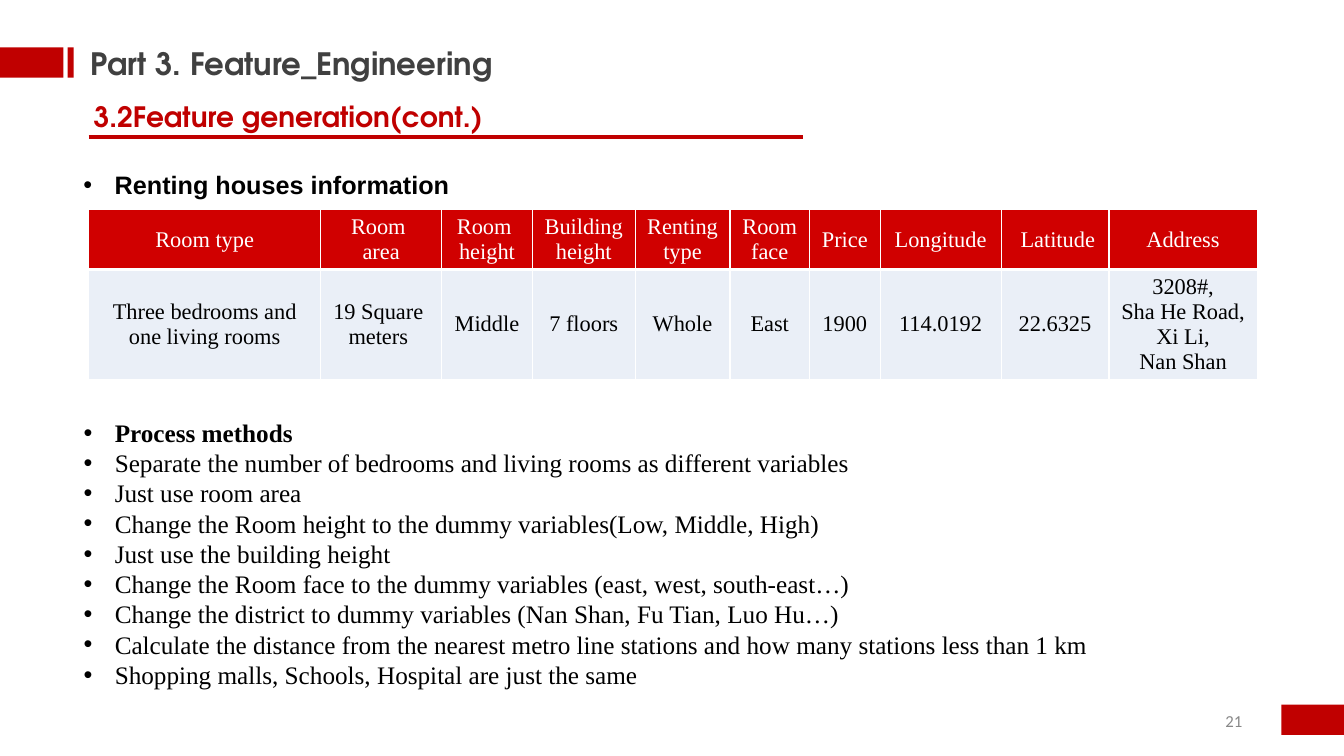
from dataclasses import dataclass

from lxml.etree import SubElement
from pptx import Presentation
from pptx.dml.color import RGBColor
from pptx.enum.shapes import MSO_CONNECTOR, MSO_SHAPE
from pptx.enum.text import MSO_ANCHOR, PP_ALIGN
from pptx.oxml.ns import qn
from pptx.util import Inches, Pt

RED, BLACK, WHITE = "C00000", "000000", "FFFFFF"
SERIF, TITLE = "Times New Roman", "TeX Gyre Adventor"


@dataclass
class Bar:
    left: float
    top: float
    width: float


@dataclass
class Label:
    box: tuple[float, float, float, float]
    lines: list[str]
    size: float
    face: str
    color: str
    bold: int = 0  # number of leading bold lines
    bullet: bool = False
    align: PP_ALIGN = PP_ALIGN.LEFT
    anchor: MSO_ANCHOR = MSO_ANCHOR.TOP


@dataclass
class Column:
    width: float
    head: str
    value: str


BARS = [Bar(0, 0.47, 0.63), Bar(0.67, 0.47, 0.06), Bar(12.71, 6.99, 0.63)]

LABELS = [
    Label((9.42, 6.95, 3, 0.4), ["21"], 12, "Calibri", "888888",
          align=PP_ALIGN.RIGHT, anchor=MSO_ANCHOR.MIDDLE),
    Label((0.8, 0.39, 9.09, 0.47), ["Part 3. Feature_Engineering"],
          22, TITLE, "404040", bold=1),
    Label((0.83, 0.94, 5.46, 0.44), ["3.2Feature generation(cont.)"],
          20, TITLE, RED, bold=1),
    Label((0.73, 1.63, 10.24, 0.49), ["Renting houses information"],
          18, "Arial", BLACK, bold=1, bullet=True),
    Label((0.73, 4.09, 11.62, 3.41), [
        "Process methods",
        "Separate the number of bedrooms and living rooms as different variables",
        "Just use room area",
        "Change the Room height to the dummy variables(Low, Middle, High)",
        "Just use the building height",
        "Change the Room face to the dummy variables (east, west, south-east…)",
        "Change the district to dummy variables (Nan Shan, Fu Tian, Luo Hu…)",
        "Calculate the distance from the nearest metro line stations"
        " and how many stations less than 1 km",
        "Shopping malls, Schools, Hospital are just the same",
    ], 18, SERIF, BLACK, bold=1, bullet=True),
]

COLUMNS = [
    Column(2.3, "Room type", "Three bedrooms and one living rooms"),
    Column(1.2, "Room \narea", "19 Square \nmeters "),
    Column(0.9, "Room \nheight", "Middle"),
    Column(1.02, "Building\nheight", "7 floors"),
    Column(0.94, "Renting \ntype", "Whole"),
    Column(0.79, "Room \nface", "East"),
    Column(0.7, "Price", "1900"),
    Column(1.2, "Longitude", "114.0192"),
    Column(1.07, " Latitude", "22.6325"),
    Column(1.47, "Address", "3208#,\nSha He Road,\nXi Li,\nNan Shan"),
]


def rgb(code: str) -> RGBColor:
    return RGBColor.from_string(code)


def style(para, size: float, face: str, color: str, bold: bool = False) -> None:
    font = para.font
    font.size, font.name, font.bold = Pt(size), face, bold
    font.color.rgb = rgb(color)


def add_bar(slide, bar: Bar) -> None:
    shape = slide.shapes.add_shape(
        MSO_SHAPE.RECTANGLE, Inches(bar.left), Inches(bar.top),
        Inches(bar.width), Inches(0.3))
    shape.shadow.inherit = False
    shape.fill.solid()
    shape.fill.fore_color.rgb = rgb(RED)
    shape.line.fill.background()


def add_bullet(para) -> None:
    para.line_spacing = Pt(21.6)
    props = para._p.get_or_add_pPr()
    props.set("marL", str(Inches(0.31)))
    props.set("indent", str(-Inches(0.31)))
    tint = SubElement(props, qn("a:buClr"))
    SubElement(tint, qn("a:srgbClr"), val=BLACK)
    SubElement(props, qn("a:buFont"), typeface="Arial")
    SubElement(props, qn("a:buChar"), char="•")


def add_label(slide, label: Label) -> None:
    box = slide.shapes.add_textbox(*map(Inches, label.box))
    frame = box.text_frame
    frame.word_wrap = True
    frame.vertical_anchor = label.anchor
    frame.text = "\n".join(label.lines)
    for row, para in enumerate(frame.paragraphs):
        para.alignment = label.align
        if label.bullet:
            add_bullet(para)
        style(para, label.size, label.face, label.color, row < label.bold)


def add_rule(slide) -> None:
    rule = slide.shapes.add_connector(
        MSO_CONNECTOR.STRAIGHT, Inches(0.88), Inches(1.36), Inches(7.96), Inches(1.36))
    rule.line.color.rgb = rgb(RED)
    rule.line.width = Pt(3)
    SubElement(rule._element.spPr, qn("a:effectLst"))


def fill_cell(cell, text: str, color: str, back: str, base: float) -> None:
    cell.text = text
    cell.vertical_anchor = MSO_ANCHOR.MIDDLE
    for para in cell.text_frame.paragraphs:
        para.alignment = PP_ALIGN.CENTER
        style(para, 16, SERIF, color)
    # White borders go before the fill
    props = cell._tc.get_or_add_tcPr()
    for side, width in (("L", 1), ("R", 1), ("T", 1), ("B", base)):
        line = SubElement(props, qn(f"a:ln{side}"), w=str(Pt(width)))
        paint = SubElement(line, qn("a:solidFill"))
        SubElement(paint, qn("a:srgbClr"), val=WHITE)
    cell.fill.solid()
    cell.fill.fore_color.rgb = rgb(back)


def add_grid(slide) -> None:
    width = sum(col.width for col in COLUMNS)
    table = slide.shapes.add_table(
        2, len(COLUMNS), Inches(0.88), Inches(2.08), Inches(width), Inches(1.67)).table
    for row, height in zip(table.rows, (0.59, 1.08)):
        row.height = Inches(height)
    for num, col in enumerate(COLUMNS):
        table.columns[num].width = Inches(col.width)
        fill_cell(table.cell(0, num), col.head, WHITE, "D00000", 3)
        fill_cell(table.cell(1, num), col.value, BLACK, "EAEFF7", 1)


def main() -> None:
    deck = Presentation()
    deck.slide_width, deck.slide_height = Inches(13.33), Inches(7.5)
    slide = deck.slides.add_slide(deck.slide_layouts[6])
    # Red accents
    for bar in BARS:
        add_bar(slide, bar)
    add_rule(slide)
    # Table and text
    add_grid(slide)
    for label in LABELS:
        add_label(slide, label)
    deck.save("out.pptx")


if __name__ == "__main__":
    main()
